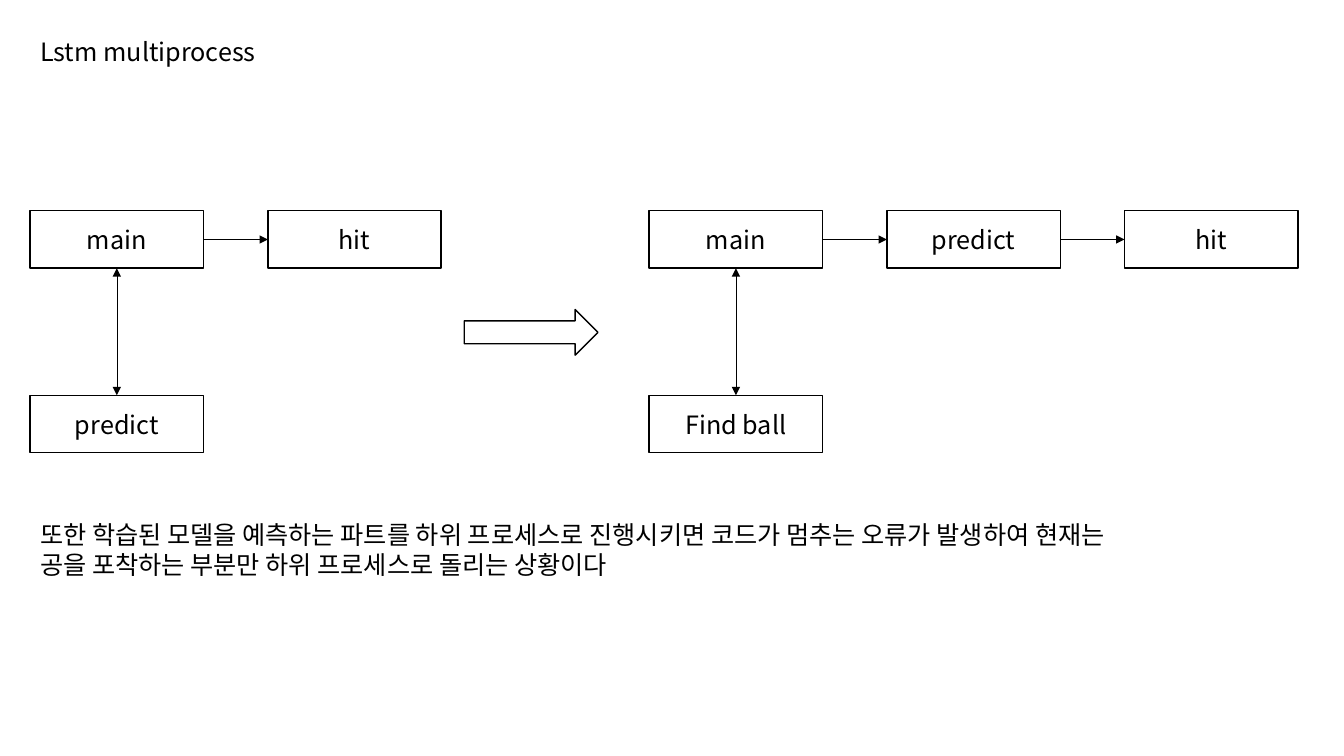
from lxml import etree
from pptx import Presentation
from pptx import util as u
from pptx.dml import color
from pptx.enum import shapes, text
from pptx.oxml import ns

COLORS = {"ink": "000000", "paper": "FFFFFF"}
FONT = "Noto Sans CJK KR"
BOX_WIDTH, BOX_HEIGHT = 4.37, 1.45
COLUMN_STEP, ROW_STEP = 5.99, 4.65
MARGIN = 0.76


def rgb(name):
    return color.RGBColor.from_string(COLORS[name])


def write(shape, words, alignment):
    paragraph = shape.text_frame.paragraphs[0]
    paragraph.text = words
    paragraph.alignment = alignment
    font = paragraph.font
    font.size = u.Pt(18)
    font.name = FONT
    font.color.rgb = rgb("ink")
    # Hangul takes the East Asian typeface
    properties = paragraph._p.pPr.find(ns.qn("a:defRPr"))
    etree.SubElement(properties, ns.qn("a:ea"), typeface=FONT)


def add_text(slide, left, top, width, height, words):
    box = slide.shapes.add_textbox(*map(u.Cm, (left, top, width, height)))
    box.text_frame.word_wrap = True
    box.text_frame.auto_size = text.MSO_AUTO_SIZE.SHAPE_TO_FIT_TEXT
    write(box, words, text.PP_ALIGN.LEFT)


def add_outlined(slide, kind, left, top, width, height):
    shape = slide.shapes.add_shape(kind, *map(u.Cm, (left, top, width, height)))
    shape.shadow.inherit = False
    shape.fill.solid()
    shape.fill.fore_color.rgb = rgb("paper")
    shape.line.color.rgb = rgb("ink")
    shape.line.width = u.Pt(1)
    return shape


def add_process(slide, left, top, name):
    shape = add_outlined(slide, shapes.MSO_SHAPE.RECTANGLE,
                         left, top, BOX_WIDTH, BOX_HEIGHT)
    shape.text_frame.vertical_anchor = text.MSO_ANCHOR.MIDDLE
    write(shape, name, text.PP_ALIGN.CENTER)
    return shape


def add_arrow(slide, start, start_site, end, end_site, ends):
    connector = slide.shapes.add_connector(shapes.MSO_CONNECTOR.STRAIGHT, 0, 0, 0, 0)
    connector.begin_connect(start, start_site)
    connector.end_connect(end, end_site)
    connector.line.color.rgb = rgb("ink")
    connector.line.width = u.Pt(0.5)
    line = connector.line._get_or_add_ln()
    for end_name in ends:
        etree.SubElement(line, ns.qn("a:" + end_name), type="triangle")
    etree.SubElement(connector._element.spPr, ns.qn("a:effectLst"))


def add_flow(slide, left, top, steps, subprocess):
    """A row of chained steps, with a subprocess below the first one."""
    row = [add_process(slide, left + index * COLUMN_STEP, top, name)
           for index, name in enumerate(steps)]
    below = add_process(slide, left, top + ROW_STEP, subprocess)
    # Connection sites: 0 top, 1 left, 2 bottom, 3 right
    for start, end in zip(row, row[1:]):
        add_arrow(slide, start, 3, end, 1, ["tailEnd"])
    add_arrow(slide, row[0], 2, below, 0, ["headEnd", "tailEnd"])


def main():
    presentation = Presentation()
    presentation.slide_width = u.Cm(33.87)
    presentation.slide_height = u.Cm(19.05)
    slide = presentation.slides.add_slide(presentation.slide_layouts[6])

    # Title
    add_text(slide, MARGIN, 0.79, 7.98, 1.03, "Lstm multiprocess")

    # Before and after, with a block arrow between
    add_flow(slide, MARGIN, 5.31, ["main", "hit"], "predict")
    add_outlined(slide, shapes.MSO_SHAPE.RIGHT_ARROW, 11.7, 7.8, 3.37, 1.15)
    add_flow(slide, 16.36, 5.31, ["main", "predict", "hit"], "Find ball")

    # Explanation
    add_text(slide, MARGIN, 12.95, 28.17, 1.8,
             "또한 학습된 모델을 예측하는 파트를 하위 프로세스로 진행시키면 "
             "코드가 멈추는 오류가 발생하여 현재는 공을 포착하는 부분만 "
             "하위 프로세스로 돌리는 상황이다")

    presentation.save("out.pptx")


if __name__ == "__main__":
    main()
